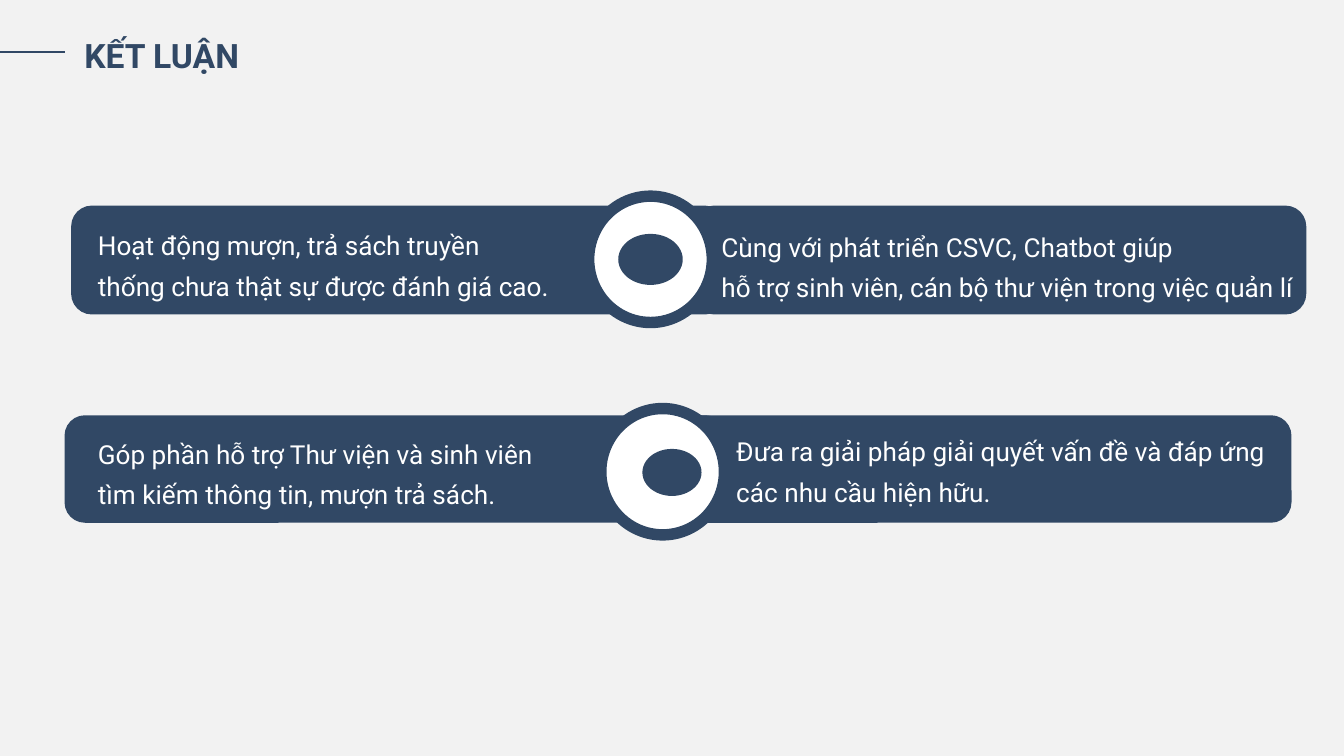
from dataclasses import dataclass

from lxml.etree import SubElement
from pptx import Presentation
from pptx.dml.color import RGBColor
from pptx.enum.shapes import MSO_CONNECTOR, MSO_SHAPE
from pptx.enum.text import MSO_AUTO_SIZE
from pptx.oxml.ns import qn
from pptx.slide import Slide
from pptx.util import Inches, Pt


@dataclass(frozen=True)
class Theme:
    navy: RGBColor = RGBColor(0x31, 0x48, 0x65)
    white: RGBColor = RGBColor(0xFF, 0xFF, 0xFF)
    back: RGBColor = RGBColor(0xF2, 0xF2, 0xF2)
    font: str = "Roboto"
    head: float = 18
    body: float = 14
    rule: float = 1
    ring: float = 6.13


@dataclass(frozen=True)
class Box:
    left: float
    top: float
    width: float
    height: float

    def spans(self) -> list[Inches]:
        return [Inches(v) for v in (self.left, self.top, self.width, self.height)]


@dataclass(frozen=True)
class Panel:
    bar: Box
    area: Box
    lines: tuple[str, ...]


@dataclass(frozen=True)
class Row:
    panels: tuple[Panel, Panel]
    badge: Box
    icon: Box


THEME = Theme()
WIDTH = 10
HEIGHT = WIDTH * 9 / 16

ROWS = (
    Row(
        (
            Panel(Box(0.48, 3.09, 4.92, 0.8), Box(0.63, 3.14, 4.56, 0.69),
                  ("Góp phần hỗ trợ Thư viện và sinh viên",
                   "tìm kiếm thông tin, mượn trả sách.")),
            Panel(Box(5.05, 3.09, 4.56, 0.8), Box(5.38, 3.12, 4.16, 0.69),
                  ("Đưa ra giải pháp giải quyết vấn đề và đáp ứng "
                   "các nhu cầu hiện hữu.",)),
        ),
        Box(4.47, 3.04, 0.92, 0.94),
        Box(4.78, 3.34, 0.44, 0.35),
    ),
    Row(
        (
            Panel(Box(0.53, 1.53, 4.87, 0.81), Box(0.63, 1.59, 5.15, 0.69),
                  ("Hoạt động mượn, trả sách truyền",
                   "thống chưa thật sự được đánh giá cao.")),
            Panel(Box(5.16, 1.53, 4.56, 0.81), Box(5.27, 1.6, 4.47, 0.69),
                  ("Cùng với phát triển CSVC, Chatbot giúp",
                   "hỗ trợ sinh viên, cán bộ thư viện trong việc quản lí")),
        ),
        Box(4.38, 1.46, 0.92, 0.94),
        Box(4.6, 1.74, 0.48, 0.38),
    ),
)


def add_form(slide: Slide, kind: MSO_SHAPE, box: Box, fill: RGBColor,
             edge: float = 0) -> None:
    """Draw a filled shape, with a navy edge if a width is given."""
    form = slide.shapes.add_shape(kind, *box.spans())
    form.shadow.inherit = False
    form.fill.solid()
    form.fill.fore_color.rgb = fill
    if edge:
        form.line.color.rgb = THEME.navy
        form.line.width = Pt(edge)
    else:
        form.line.fill.background()
    if kind == MSO_SHAPE.ROUNDED_RECTANGLE:
        form.adjustments[0] = 0.19


def add_text(slide: Slide, box: Box, lines: tuple[str, ...], size: float,
             color: RGBColor, bold: bool = False, pitch: float = 1.0) -> None:
    frame = slide.shapes.add_textbox(*box.spans()).text_frame
    frame.word_wrap = True
    frame.auto_size = MSO_AUTO_SIZE.SHAPE_TO_FIT_TEXT
    for i, line in enumerate(lines):
        para = frame.add_paragraph() if i else frame.paragraphs[0]
        para.line_spacing = pitch
        run = para.add_run()
        run.text = line
        run.font.name = THEME.font
        run.font.size = Pt(size)
        run.font.bold = bold
        run.font.color.rgb = color


def add_rule(slide: Slide, start: float, end: float, top: float) -> None:
    rule = slide.shapes.add_connector(
        MSO_CONNECTOR.STRAIGHT, Inches(start), Inches(top), Inches(end), Inches(top))
    rule.line.color.rgb = THEME.navy
    rule.line.width = Pt(THEME.rule)
    SubElement(rule._element.spPr, qn("a:effectLst"))


def add_row(slide: Slide, row: Row) -> None:
    for panel in row.panels:
        add_form(slide, MSO_SHAPE.ROUNDED_RECTANGLE, panel.bar, THEME.navy)
        add_text(slide, panel.area, panel.lines, THEME.body, THEME.white, pitch=1.3)
    add_form(slide, MSO_SHAPE.OVAL, row.badge, THEME.white, THEME.ring)
    add_form(slide, MSO_SHAPE.OVAL, row.icon, THEME.navy)


def main() -> None:
    deck = Presentation()
    deck.slide_width, deck.slide_height = Inches(WIDTH), Inches(HEIGHT)
    slide = deck.slides.add_slide(deck.slide_layouts[6])
    slide.background.fill.solid()
    slide.background.fill.fore_color.rgb = THEME.back
    for row in ROWS:
        add_row(slide, row)
    add_rule(slide, 0, 0.48, 0.39)
    add_text(slide, Box(0.53, 0.21, 3.43, 0.4), ("KẾT LUẬN",), THEME.head,
             THEME.navy, bold=True)
    deck.save("out.pptx")


if __name__ == "__main__":
    main()
